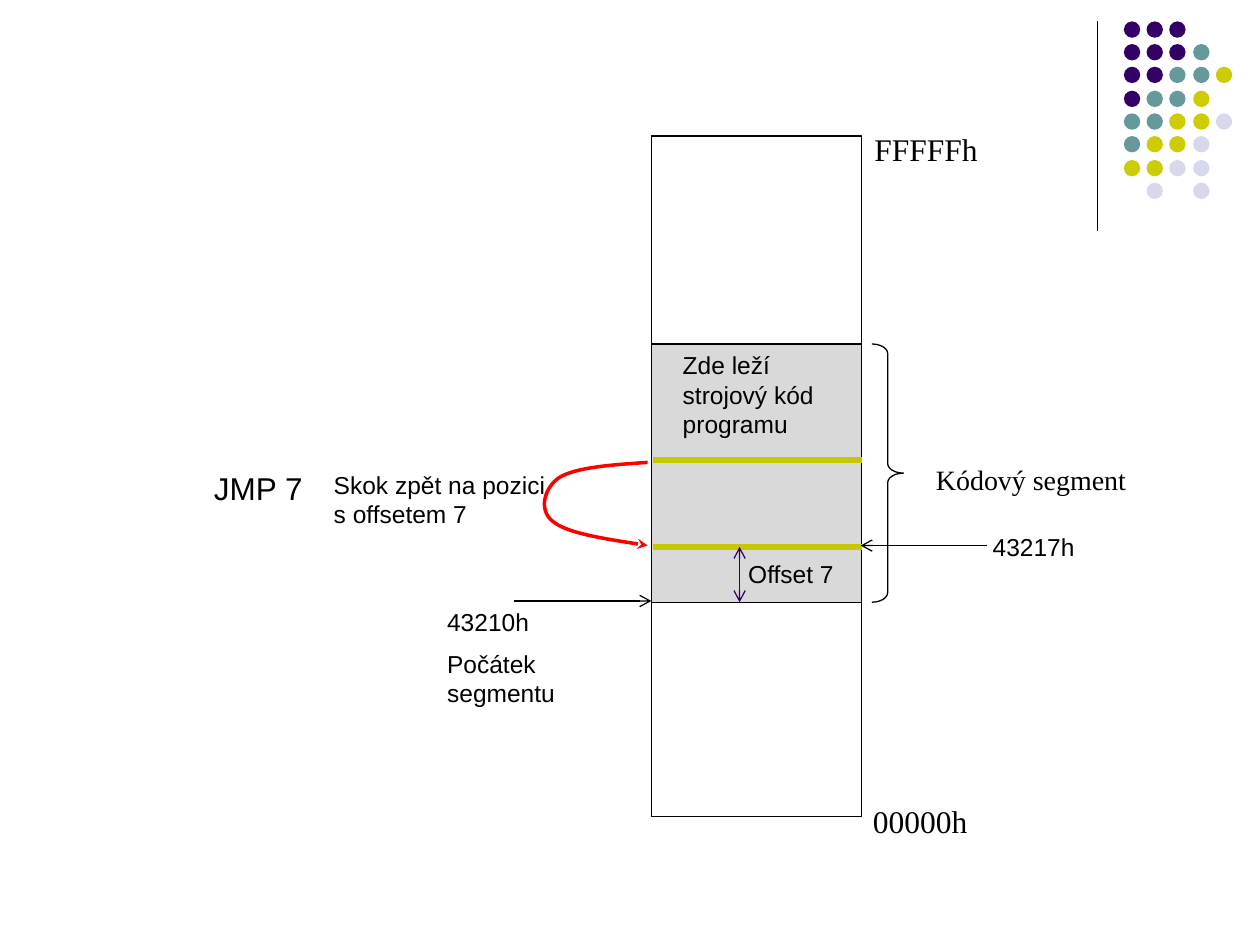
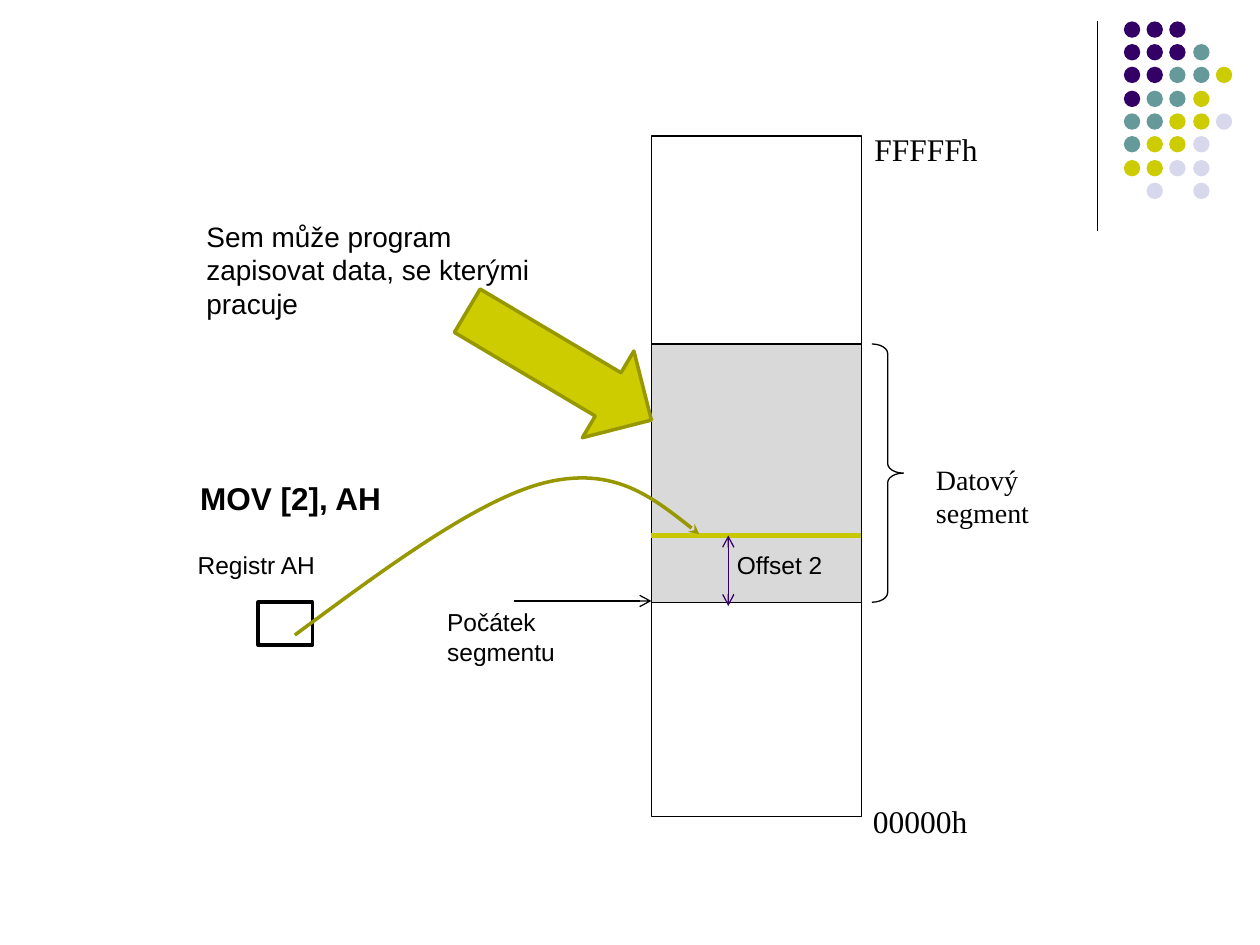
from pptx import Presentation
from pptx import util as u
from pptx.dml.color import RGBColor
from pptx.enum import shapes, text
from pptx.oxml import ns, xmlchemy

PX = 9144
SHAPE = shapes.MSO_SHAPE
INK, GREY, WHITE, VIOLET = "000000", "D9D9D9", "FFFFFF", "330066"
YELLOW, OLIVE, MARK, RED = "CCCC00", "979700", "C8C800", "FF0000"
SERIF = {"name": "Times New Roman"}
DOT_COLOURS = {"V": VIOLET, "T": "669999", "Y": YELLOW, "L": "D8D8EC"}
DOT_ROWS = ["VVV", "VVVT", "VVTTY", "VTTY", "TTYYL", "TYYL", "YYLL", " L L"]


def rgb(value):
    return RGBColor.from_string(value)


class Deck:
    """Holds the presentation, its style and the current slide."""

    font = {"name": "Arial", "size": 14, "bold": False}

    def __init__(self, width, height):
        self.prs = Presentation()
        self.prs.slide_width, self.prs.slide_height = width * PX, height * PX

    def slide(self):
        self.s = self.prs.slides.add_slide(self.prs.slide_layouts[6])

    def stroke(self, sp, colour, width, **ends):
        sp.line.color.rgb = rgb(colour)
        sp.line.width = u.Pt(width)
        for end in ("head", "tail"):
            if end in ends:
                tag = xmlchemy.OxmlElement(f"a:{end}End")
                tag.set("type", ends[end])
                sp.line._get_or_add_ln().append(tag)

    def shape(self, kind, box, fill=None, line=None, width=0.75, rotation=0):
        sp = self.s.shapes.add_shape(kind, *(v * PX for v in box))
        sp.shadow.inherit = False
        sp.rotation = rotation
        if fill:
            sp.fill.solid()
            sp.fill.fore_color.rgb = rgb(fill)
        else:
            sp.fill.background()
        if line:
            self.stroke(sp, line, width)
        else:
            sp.line.fill.background()
        return sp

    def line(self, x1, y1, x2, y2, colour=INK, width=0.75, **ends):
        sp = self.s.shapes.add_connector(
            shapes.MSO_CONNECTOR.STRAIGHT, *(v * PX for v in (x1, y1, x2, y2)))
        sp._element.spPr.append(xmlchemy.OxmlElement("a:effectLst"))
        self.stroke(sp, colour, width, **ends)

    def curve(self, points, colour, **ends):
        builder = self.s.shapes.build_freeform(*points[0], scale=PX)
        builder.add_line_segments(points[1:], close=False)
        sp = builder.convert_to_shape()
        sp.shadow.inherit = False
        sp.fill.background()
        self.stroke(sp, colour, 2, **ends)
        steps = list(sp._element.iter(ns.qn("a:lnTo")))
        for i in range(0, len(steps), 3):
            bezier = xmlchemy.OxmlElement("a:cubicBezTo")
            steps[i].addprevious(bezier)
            for step in steps[i:i + 3]:
                bezier.append(step[0])
                step.getparent().remove(step)

    def text(self, box, *lines, **font):
        tf = self.s.shapes.add_textbox(*(v * PX for v in box)).text_frame
        tf.word_wrap = True
        tf.auto_size = text.MSO_AUTO_SIZE.SHAPE_TO_FIT_TEXT
        for i, words in enumerate(lines):
            p = tf.paragraphs[0]
            if i:
                p = tf.add_paragraph()
                p.space_before = u.Pt(7)
            r = p.add_run()
            r.text = words
            for key, value in {**self.font, **font}.items():
                setattr(r.font, key, u.Pt(value) if key == "size" else value)
            r.font.color.rgb = rgb(INK)

    def dots(self):
        self.line(871, 17, 871, 183)
        for row, marks in enumerate(DOT_ROWS):
            for col, mark in enumerate(marks):
                if mark in DOT_COLOURS:
                    box = 892 + 55 * col // 3, 17 + 55 * row // 3, 13, 13
                    self.shape(SHAPE.OVAL, box, DOT_COLOURS[mark])

    def memory(self, segment, label_box):
        self.shape(SHAPE.RECTANGLE, (517, 108, 167, 540), line=INK)
        self.text((683, 632, 132, 40), "00000h", size=18, **SERIF)
        self.text((684, 98, 132, 40), "FFFFFh", size=18, **SERIF)
        self.shape(SHAPE.RECTANGLE, (517, 273, 167, 205), GREY, INK)
        self.line(408, 477, 517, 477, tail="arrow")
        self.text(label_box, segment, size=16, **SERIF)
        brace = self.shape(SHAPE.RIGHT_BRACE, (692, 273, 25, 205), line=INK)
        brace.adjustments[0] = 0.306

    def offset(self, x, top, bottom, label_top, label):
        self.line(x, top, x, bottom, VIOLET, head="arrow", tail="arrow")
        self.text((x - 3, label_top, 97, 34), label)


def code_segment(d):
    d.slide()
    d.dots()
    d.memory("Kódový segment", (733, 362, 188, 37))
    d.text((532, 273, 149, 81), "Zde leží strojový kód programu")
    d.text((345, 477, 122, 93), "43210h", "Počátek segmentu")
    d.curve([(514, 367), (485, 369), (457, 371), (444, 379), (432, 387),
             (427, 405), (439, 414), (450, 423), (482, 428), (514, 433)],
            RED, tail="stealth")
    d.text((255, 368, 192, 57), "Skok zpět na pozici s offsetem 7")
    d.text((160, 367, 140, 40), "JMP 7", size=18)
    for y in (365, 434):
        d.line(518, y, 684, y, MARK, 3.25)
    d.offset(587, 434, 478, 439, "Offset 7")
    d.line(783, 433, 683, 433, tail="arrow")
    d.text((778, 417, 122, 34), "43217h")


def data_segment(d):
    d.slide()
    d.dots()
    d.memory("Datový segment", (733, 362, 142, 64))
    d.text((154, 169, 282, 91),
           "Sem může program zapisovat data, se kterými pracuje", size=16)
    d.shape(SHAPE.DOWN_ARROW, (404, 205, 80, 170), YELLOW, OLIVE, 2, 300.7)
    d.line(517, 425, 683, 425, MARK, 3)
    d.offset(578, 425, 481, 432, "Offset 2")
    d.text((149, 375, 198, 71), "MOV [2], AH", size=18, bold=True)
    d.text((147, 432, 122, 34), "Registr AH")
    d.shape(SHAPE.RECTANGLE, (205, 478, 43, 34), WHITE, INK, 2)
    d.curve([(555, 424), (521, 397), (487, 370), (433, 383),
             (380, 396), (307, 450), (234, 504)], OLIVE, head="stealth")
    d.text((345, 477, 122, 57), "Počátek segmentu")


def main():
    d = Deck(1000, 750)
    code_segment(d)
    data_segment(d)
    d.prs.save("out.pptx")


if __name__ == "__main__":
    main()
